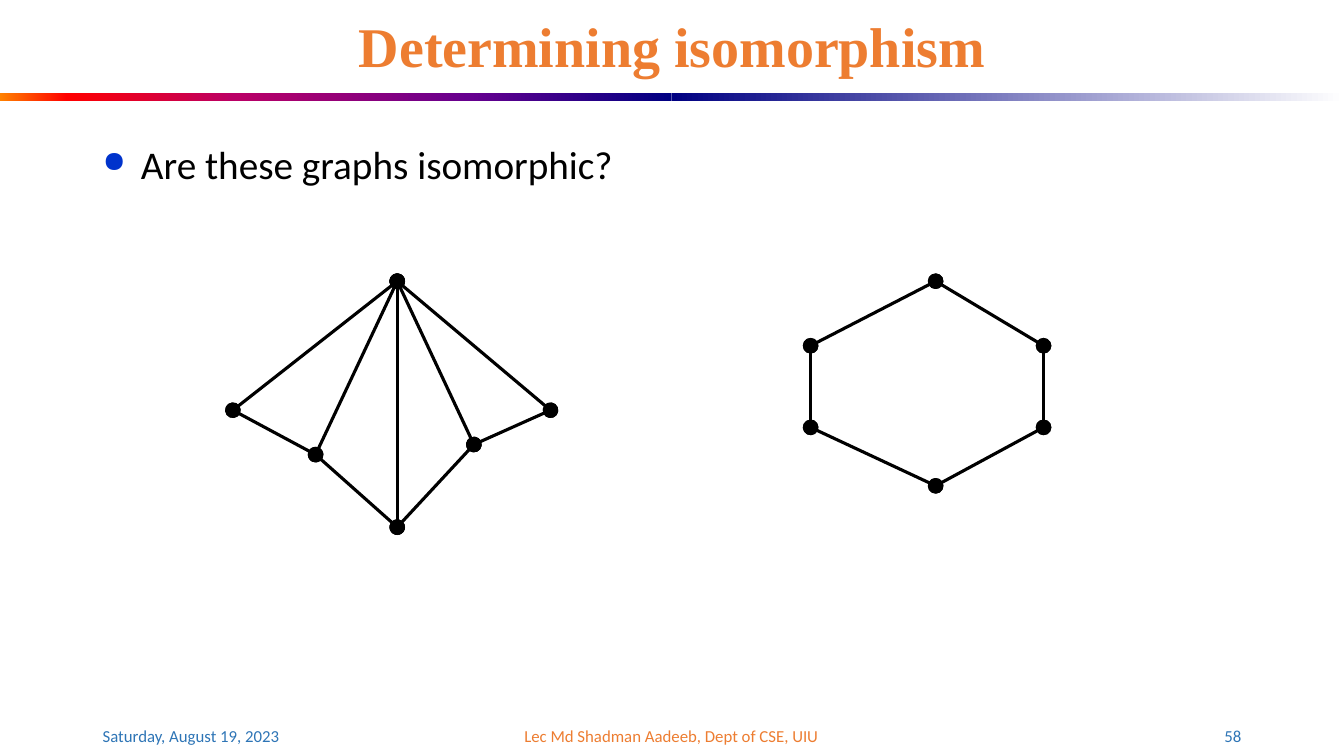
from pptx import Presentation
from pptx.dml.color import RGBColor
from pptx.enum.shapes import MSO_CONNECTOR, MSO_SHAPE
from pptx.enum.text import MSO_ANCHOR, PP_ALIGN
from pptx.oxml import parse_xml
from pptx.oxml.ns import nsdecls, qn
from pptx.util import Pt

PX = 9144
WIDTH, HEIGHT = 1333, 750
MARGIN = 92
LEFT, CENTER, RIGHT = PP_ALIGN.LEFT, PP_ALIGN.CENTER, PP_ALIGN.RIGHT
TOP, MIDDLE = MSO_ANCHOR.TOP, MSO_ANCHOR.MIDDLE
RECTANGLE, STRAIGHT = MSO_SHAPE.RECTANGLE, MSO_CONNECTOR.STRAIGHT
BLACK, ORANGE, BLUE, BULLET_BLUE = "000000", "ED7D31", "2E75B6", "0033CC"
WARM_STOPS = [(0, "FF8200"), (10, "FF0000"), (35, "BA0066"), (70, "66008F"), (100, "000082")]
COOL_STOPS = [(0, "000082"), (100, "FFFFFF")]

FAN_NODES = {
    "top": (163, 0), "left": (0, 128), "inner left": (82, 172),
    "bottom": (163, 244), "inner right": (239, 162), "right": (315, 128),
}
FAN_RIM = ["left", "inner left", "bottom", "inner right", "right"]
FAN_EDGES = [("top", node) for node in FAN_RIM] + list(zip(FAN_RIM, FAN_RIM[1:]))

HEXAGON_NODES = {
    "top": (124, 0), "upper right": (231, 64), "lower right": (231, 145),
    "bottom": (124, 203), "lower left": (0, 145), "upper left": (0, 64),
}
HEXAGON_RING = list(HEXAGON_NODES)
HEXAGON_EDGES = list(zip(HEXAGON_RING, HEXAGON_RING[1:] + HEXAGON_RING[:1]))


def px(*lengths):
    """Turn pixel lengths into EMU."""
    return [length * PX for length in lengths]


def color(value):
    """Turn a hex string into a colour."""
    return RGBColor.from_string(value)


def add_bullet(paragraph, indent):
    """Give a paragraph a hanging round bullet."""
    properties = paragraph._p.get_or_add_pPr()
    properties.set("marL", str(indent * PX))
    properties.set("indent", str(-indent * PX))
    for markup in (
        f'<a:buClr {nsdecls("a")}><a:srgbClr val="{BULLET_BLUE}"/></a:buClr>',
        f'<a:buSzPct {nsdecls("a")} val="75000"/>',
        f'<a:buChar {nsdecls("a")} char="●"/>',
    ):
        properties.append(parse_xml(markup))


def add_text(slide, box, text, size=12, font="Calibri", fill=BLACK, bold=False,
             align=LEFT, anchor=MIDDLE, line_spacing=None, bullet_indent=None):
    """Place one paragraph of formatted text in a box."""
    frame = slide.shapes.add_textbox(*px(*box)).text_frame
    frame.word_wrap = True
    frame.vertical_anchor = anchor
    paragraph = frame.paragraphs[0]
    if bullet_indent:
        add_bullet(paragraph, bullet_indent)
    paragraph.alignment = align
    paragraph.line_spacing = line_spacing
    run = paragraph.add_run()
    run.text = text
    run.font.name = font
    run.font.size = Pt(size)
    run.font.bold = bold
    run.font.color.rgb = color(fill)


def add_gradient_bar(slide, box, stops):
    """Draw a rectangle with a left-to-right gradient."""
    shape = slide.shapes.add_shape(RECTANGLE, *px(*box))
    shape.shadow.inherit = False
    shape.line.fill.background()
    shape.fill.gradient()
    shape.fill.gradient_angle = 0
    stop_list = shape._element.spPr.find(qn("a:gradFill")).find(qn("a:gsLst"))
    for stop in list(stop_list):
        stop_list.remove(stop)
    for percent, value in stops:
        stop_list.append(parse_xml(
            f'<a:gs {nsdecls("a")} pos="{percent * 1000}"><a:srgbClr val="{value}"/></a:gs>'))


def add_edge(slide, start, end):
    """Draw an edge with a round node at both ends."""
    connector = slide.shapes.add_connector(STRAIGHT, *px(*start, *end))
    connector.line.color.rgb = color(BLACK)
    connector.line.width = Pt(2.25)
    line = connector.line._get_or_add_ln()
    for tag in ("headEnd", "tailEnd"):
        line.append(parse_xml(f'<a:{tag} {nsdecls("a")} type="oval" w="lg" len="lg"/>'))
    connector._element.spPr.append(parse_xml(f'<a:effectLst {nsdecls("a")}/>'))


def add_graph(slide, origin, nodes, edges):
    """Draw a graph whose nodes are placed relative to its origin."""
    left, top = origin
    places = {name: (left + x, top + y) for name, (x, y) in nodes.items()}
    for start, end in edges:
        add_edge(slide, places[start], places[end])


def add_header(slide, box):
    """Draw the title above its two-part gradient rule."""
    left, top, width, height = box
    half, bar = width / 2, 8
    bar_top = top + height - bar
    add_gradient_bar(slide, (left, bar_top, round(half), bar), WARM_STOPS)
    add_gradient_bar(slide, (left + round(half), bar_top, width - round(half), bar), COOL_STOPS)
    add_text(slide, (left + MARGIN, top + 16, width - 2 * MARGIN, 66),
             "Determining isomorphism", size=40, font="Times New Roman",
             fill=ORANGE, bold=True, align=CENTER, line_spacing=0.9)


def add_body(slide, box):
    """Place the question and the two graphs below it."""
    left, top, width, height = box
    add_text(slide, (left, top, width, height), "Are these graphs isomorphic?",
             size=28, anchor=TOP, bullet_indent=38)
    add_graph(slide, (left + 139, top + 145), FAN_NODES, FAN_EDGES)
    add_graph(slide, (left + 712, top + 145), HEXAGON_NODES, HEXAGON_EDGES)


def add_footer(slide, box):
    """Place the date, the lecturer and the page number."""
    left, top, width, height = box
    side, middle = 300, 450
    add_text(slide, (left, top, side, height), "Saturday, August 19, 2023", fill=BLUE)
    add_text(slide, (left + (width - middle) // 2, top, middle, height),
             "Lec Md Shadman Aadeeb, Dept of CSE, UIU", fill=ORANGE, align=CENTER)
    add_text(slide, (left + width - side, top, side, height), "58", fill=BLUE, align=RIGHT)


def main():
    """Build the slide and save it."""
    presentation = Presentation()
    presentation.slide_width, presentation.slide_height = px(WIDTH, HEIGHT)
    slide = presentation.slides.add_slide(presentation.slide_layouts[6])
    content_width = WIDTH - 2 * MARGIN
    add_header(slide, (0, 0, WIDTH, 100))
    add_body(slide, (MARGIN, 134, content_width, 541))
    add_footer(slide, (MARGIN, 710, content_width, 40))
    presentation.save("out.pptx")


if __name__ == "__main__":
    main()
